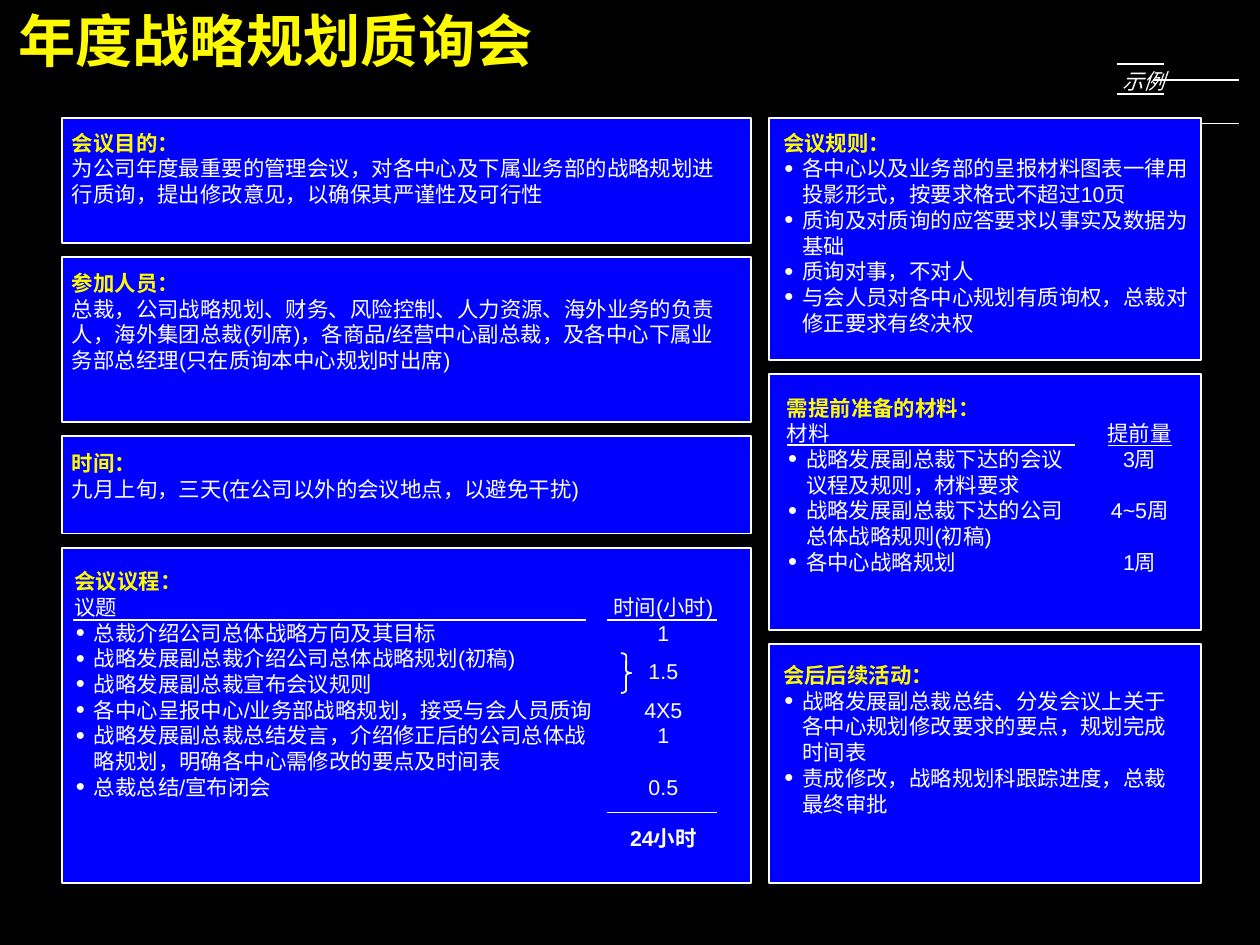
from lxml.etree import SubElement
from pptx import Presentation
from pptx.dml.color import RGBColor
from pptx.enum.shapes import MSO_CONNECTOR, MSO_SHAPE
from pptx.enum.text import PP_ALIGN
from pptx.oxml.ns import qn
from pptx.util import Inches, Pt

BLACK, BLUE, WHITE, YELLOW = "000000", "0000FE", "FFFFFF", "FEFB00"
TOP, GAP, LEAD = 0.92, 0.11, 14.4

TITLE = "年度战略规划质询会"
COLUMNS = [
    (0.48, 5.36, [0.97, 1.28, 0.76, 2.61]),
    (5.98, 3.36, [1.88, 1.99, 1.86]),
]
BLOCKS = [
    (0.56, 1.01, 5.07, 0.6, "会议目的：",
     ["为公司年度最重要的管理会议，对各中心及下属业务部的战略规划进行质询，提出修改意见，以确保其严谨性及可行性"], []),
    (0.56, 2.1, 5.07, 0.8, "参加人员：",
     ["总裁，公司战略规划、财务、风险控制、人力资源、海外业务的负责人，海外集团总裁(列席)，"
      "各商品/经营中心副总裁，及各中心下属业务部总经理(只在质询本中心规划时出席)"], []),
    (0.56, 3.5, 4.3, 0.4, "时间：",
     ["九月上旬，三天(在公司以外的会议地点，以避免干扰)"], []),
    (0.58, 4.42, 4.03, 2, "会议议程：", ["议题"],
     ["总裁介绍公司总体战略方向及其目标",
      "战略发展副总裁介绍公司总体战略规划(初稿)",
      "战略发展副总裁宣布会议规则",
      "各中心呈报中心/业务部战略规划，接受与会人员质询",
      "战略发展副总裁总结发言，介绍修正后的公司总体战略规划，明确各中心需修改的要点及时间表",
      "总裁总结/宣布闭会"]),
    (6.09, 1.01, 3.25, 1.6, "会议规则：", [],
     ["各中心以及业务部的呈报材料图表一律用投影形式，按要求格式不超过10页",
      "质询及对质询的应答要求以事实及数据为基础",
      "质询对事，不对人",
      "与会人员对各中心规划有质询权，总裁对修正要求有终决权"]),
    (6.12, 3.07, 2.15, 1.4, "需提前准备的材料：", ["材料"],
     ["战略发展副总裁下达的会议议程及规则，材料要求",
      "战略发展副总裁下达的公司总体战略规则(初稿)",
      "各中心战略规划"]),
    (6.09, 5.15, 3.12, 1.2, "会后后续活动：", [],
     ["战略发展副总裁总结、分发会议上关于各中心规划修改要求的要点，规划完成时间表",
      "责成修改，战略规划科跟踪进度，总裁最终审批"]),
]
HOURS = [("时间(小时)", 0), ("1", 0), ("1.5", 0.5), ("4X5", 0.5), ("1", 0), ("0.5", 1), ("24小时", 1)]
WEEKS = [("提前量", 0), ("3周", 0), ("4~5周", 1), ("1周", 1)]
BACK = [(8.97, 9.64, 0.96), (8.97, 9.64, 0.62)]
RULES = [(6.12, 8.36, 3.46), (4.72, 5.58, 6.32), (4.72, 5.58, 4.82),
         (0.57, 4.56, 4.82), (8.69, 9.05, 0.73), (8.69, 9.05, 0.5)]

deck = Presentation()
deck.slide_width, deck.slide_height = Inches(9.8), Inches(7.35)
slide = deck.slides.add_slide(deck.slide_layouts[6])


def paint(target, color):
    target.solid()
    target.fore_color.rgb = RGBColor.from_string(color)


def stroke(shape):
    paint(shape.line.fill, WHITE)
    shape.line.width = Pt(1)


def rule(left, right, y):
    line = slide.shapes.add_connector(
        MSO_CONNECTOR.STRAIGHT, Inches(left), Inches(y), Inches(right), Inches(y))
    stroke(line)
    SubElement(line._element.spPr, qn("a:effectLst"))


def panel(left, top, width, height):
    box = slide.shapes.add_shape(
        MSO_SHAPE.RECTANGLE, Inches(left), Inches(top), Inches(width), Inches(height))
    box.shadow.inherit = False
    paint(box.fill, BLUE)
    stroke(box)


def frame(left, top, width, height):
    box = slide.shapes.add_textbox(Inches(left), Inches(top), Inches(width), Inches(height))
    text = box.text_frame
    text.margin_left = text.margin_right = text.margin_top = text.margin_bottom = 0
    text.word_wrap = True
    return text


def style(para, size=12, color=WHITE, bold=False):
    font = para.font
    font.name, font.size, font.bold = "Arial", Pt(size), bold
    paint(font.fill, color)


def bullet(para):
    props = para._p.get_or_add_pPr()
    props.set("marL", str(Inches(0.15)))
    props.set("indent", str(Inches(-0.14)))
    tint = SubElement(props, qn("a:buClr"))
    SubElement(tint, qn("a:srgbClr"), val=WHITE)
    SubElement(props, qn("a:buSzPct"), val="120000")
    SubElement(props, qn("a:buFont"), typeface="Arial")
    SubElement(props, qn("a:buChar"), char="•")


def fill(text, lines):
    text.text = "\n".join(lines)
    for para in text.paragraphs:
        para.line_spacing = Pt(LEAD)
    return text.paragraphs


def block(left, top, width, height, head, plain, items):
    paras = fill(frame(left, top, width, height), [head, *plain, *items])
    for i, para in enumerate(paras):
        if i > len(plain):
            bullet(para)
        style(para, color=WHITE if i else YELLOW, bold=i == 0)


def figures(spot, rows):
    paras = fill(frame(*spot), [word for word, skip in rows])
    for para, (word, skip) in zip(paras, rows):
        para.alignment = PP_ALIGN.CENTER
        if skip:
            para.space_before = Pt(LEAD * skip)
        style(para)
    return paras


paint(slide.background.fill, BLACK)
for ends in BACK:
    rule(*ends)
for left, width, heights in COLUMNS:
    top = TOP
    for height in heights:
        panel(left, top, width, height)
        top += height + GAP

title = frame(0.14, 0.04, 9.49, 0.53)
title.text = TITLE
style(title.paragraphs[0], 32, YELLOW, True)

for part in BLOCKS:
    block(*part)
figures((4.53, 4.62, 1.26, 2), HOURS)[-1].font.bold = True
figures((8.45, 3.27, 0.83, 1.42), WEEKS)[0].font.underline = True

brace = slide.shapes.add_shape(
    MSO_SHAPE.RIGHT_BRACE, Inches(4.83), Inches(5.08), Inches(0.08), Inches(0.31))
brace.shadow.inherit = False
brace.adjustments[0] = 0.25
brace.fill.background()
stroke(brace)
for ends in RULES:
    rule(*ends)

tag = fill(frame(8.67, 0.53, 0.39, 0.2), ["示例"])[0]
tag.alignment = PP_ALIGN.RIGHT
style(tag)
tag.font.italic = True

deck.save("out.pptx")
